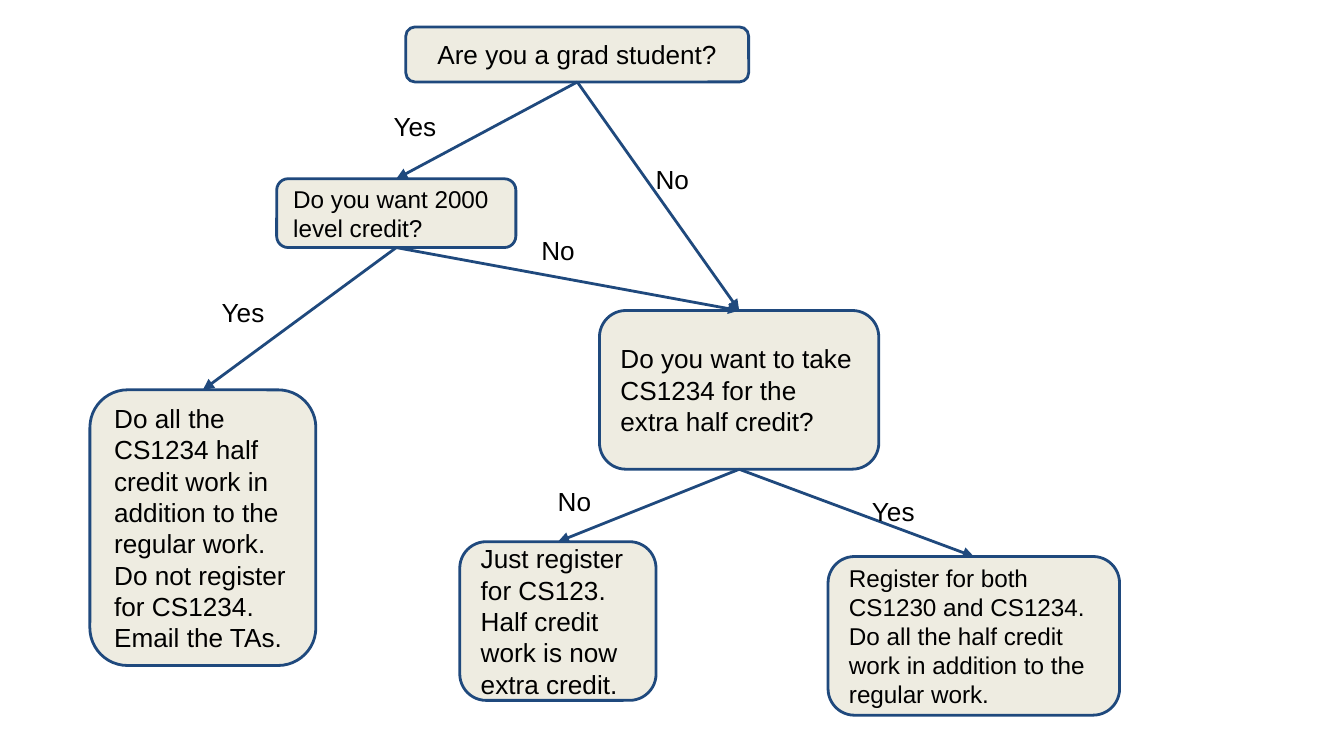
import pptx
import pptx.util
import pptx.dml.color
import pptx.enum.shapes
import pptx.enum.text
import pptx.oxml
import pptx.oxml.ns

Cm = pptx.util.Cm
Pt = pptx.util.Pt
Align = pptx.enum.text.PP_ALIGN
Anchor = pptx.enum.text.MSO_ANCHOR

NAVY, CREAM, BLACK = "1F497D", "EEECE1", "000000"

boxes = {
    "grad": ("Are you a grad student?", 7.67, 0.51, 6.48, 1.04, 14, Align.CENTER),
    "level": ("Do you want 2000 level credit?", 5.23, 3.38, 4.52, 1.3, 13, Align.LEFT),
    "work": ("Do all the CS1234 half credit work in addition to the regular work. "
             "Do not register for CS1234. Email the TAs.",
             1.7, 7.37, 4.27, 5.21, 14, Align.LEFT),
    "extra": ("Do you want to take CS1234 for the extra half credit?",
              11.33, 5.87, 5.28, 3, 14, Align.LEFT),
    "just": ("Just register for CS123. Half credit work is now extra credit.",
             8.69, 10.24, 3.71, 3, 14, Align.LEFT),
    "both": ("Register for both CS1230 and CS1234. Do all the half credit work "
             "in addition to the regular work.",
             15.65, 10.52, 5.51, 3, 13, Align.LEFT),
}
links = [
    ("grad", "extra", "No", 12.14, 2.84),
    ("grad", "level", "Yes", 7.19, 1.83),
    ("level", "work", "Yes", 3.94, 5.36),
    ("level", "extra", "No", 9.98, 4.19),
    ("extra", "just", "No", 10.29, 8.92),
    ("extra", "both", "Yes", 16.23, 9.12),
]


def color(code):
    return pptx.dml.color.RGBColor.from_string(code)


def outline(line):
    line.color.rgb = color(NAVY)
    line.width = Pt(1.5)


def write(shape, text, size, align, anchor):
    frame = shape.text_frame
    frame.text = text
    frame.word_wrap = True
    frame.vertical_anchor = anchor
    frame.margin_left = frame.margin_right = Cm(0.25)
    frame.margin_top = frame.margin_bottom = Cm(0.25)
    para = frame.paragraphs[0]
    para.alignment = align
    font = para.runs[0].font
    font.name = "Arial"
    font.size = Pt(size)
    font.color.rgb = color(BLACK)


def add_box(text, left, top, width, height, size, align):
    box = shapes.add_shape(pptx.enum.shapes.MSO_SHAPE.ROUNDED_RECTANGLE,
                           Cm(left), Cm(top), Cm(width), Cm(height))
    box.shadow.inherit = False
    box.fill.solid()
    box.fill.fore_color.rgb = color(CREAM)
    outline(box.line)
    write(box, text, size, align, Anchor.MIDDLE)
    return box


def add_arrow(start, end):
    arrow = shapes.add_connector(pptx.enum.shapes.MSO_CONNECTOR.STRAIGHT, 0, 0, 0, 0)
    arrow.begin_connect(start, 2)
    arrow.end_connect(end, 0)
    outline(arrow.line)
    head = pptx.oxml.parse_xml(
        f'<a:tailEnd {pptx.oxml.ns.nsdecls("a")} type="triangle" w="med" len="med"/>')
    arrow.line._get_or_add_ln().append(head)
    arrow._element.spPr.append(
        pptx.oxml.parse_xml(f'<a:effectLst {pptx.oxml.ns.nsdecls("a")}/>'))


deck = pptx.Presentation()
deck.slide_width, deck.slide_height = Cm(25.4), Cm(14.29)
shapes = deck.slides.add_slide(deck.slide_layouts[6]).shapes

nodes = {key: add_box(*box) for key, box in boxes.items()}
for start, end, text, left, top in links:
    add_arrow(nodes[start], nodes[end])
    label = shapes.add_textbox(Cm(left), Cm(top), Cm(1.5), Cm(1.24))
    write(label, text, 14, Align.LEFT, Anchor.TOP)

deck.save("out.pptx")
